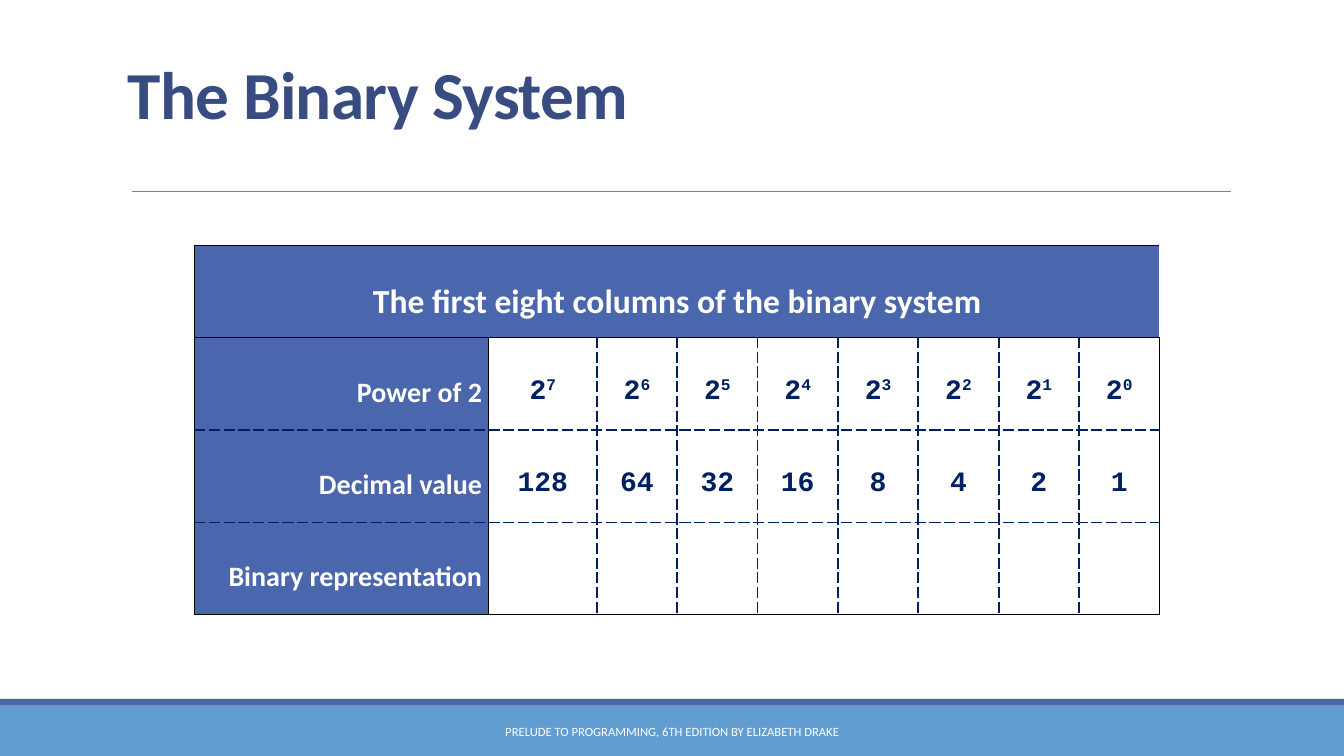
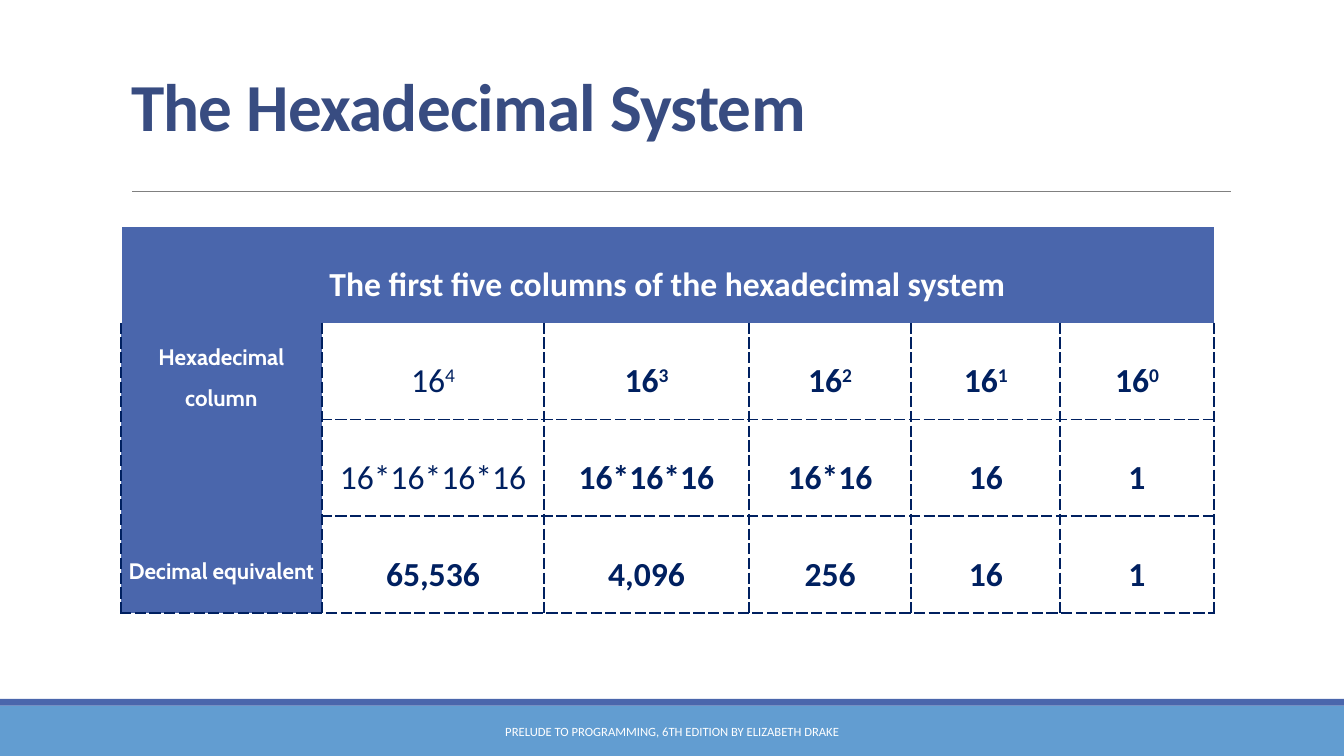
import pptx
import pptx.util
import pptx.dml.color
import pptx.enum.shapes
import pptx.enum.text
import pptx.oxml.ns
import lxml.etree

RGBColor = pptx.dml.color.RGBColor
ALIGN = pptx.enum.text.PP_ALIGN
ANCHOR = pptx.enum.text.MSO_ANCHOR
qn = pptx.oxml.ns.qn

WHITE = RGBColor(0xFF, 0xFF, 0xFF)
BLACK = RGBColor(0x00, 0x00, 0x00)
NAVY = RGBColor(0x00, 0x20, 0x60)
INDIGO = RGBColor(0x4A, 0x66, 0xAC)
SKY = RGBColor(0x62, 0x9D, 0xD1)
TITLE_BLUE = RGBColor(0x38, 0x4C, 0x81)
GREY = RGBColor(0x80, 0x80, 0x80)

SOLID = (BLACK, 1, "solid")
DASHED = (NAVY, 1.5, "sysDash")
PALE = (WHITE, 1, "solid")

COLUMNS, ROWS = 160, 90
FOOTER = "PRELUDE TO PROGRAMMING, 6TH EDITION BY ELIZABETH DRAKE"


def write(frame, text, font="Calibri", size=24, color=WHITE, bold=False,
          align=ALIGN.CENTER, spacing=1.0, tracking=0):
    paragraph = frame.paragraphs[0]
    paragraph.alignment = align
    paragraph.line_spacing = spacing
    for position, part in enumerate(text.split("^")):
        run = paragraph.add_run()
        run.text = part
        run.font.name = font
        run.font.size = pptx.util.Pt(size)
        run.font.bold = bold
        run.font.color.rgb = color
        properties = run.font._element
        if position:
            properties.set("baseline", "30000")
        if tracking:
            properties.set("spc", str(int(tracking * 100)))


def set_borders(cell, **edges):
    properties = cell._tc.get_or_add_tcPr()
    for side in "LRTB":
        edge = lxml.etree.SubElement(properties, qn("a:ln" + side))
        if edges[side] is None:
            edge.set("w", "0")
            lxml.etree.SubElement(edge, qn("a:noFill"))
            continue
        color, width, dash = edges[side]
        edge.set("w", str(pptx.util.Pt(width)))
        fill = lxml.etree.SubElement(edge, qn("a:solidFill"))
        lxml.etree.SubElement(fill, qn("a:srgbClr")).set("val", str(color))
        lxml.etree.SubElement(edge, qn("a:prstDash")).set("val", dash)


class Deck:
    def __init__(self):
        self.presentation = pptx.Presentation()
        self.presentation.slide_width = pptx.util.Inches(13.33)
        self.presentation.slide_height = pptx.util.Inches(7.5)
        self.slide = None

    def x(self, columns):
        return int(self.presentation.slide_width * columns / COLUMNS)

    def y(self, rows):
        return int(self.presentation.slide_height * rows / ROWS)

    def box(self, left, top, width, height):
        return self.x(left), self.y(top), self.x(width), self.y(height)

    def start(self, title, *place):
        layout = self.presentation.slide_layouts[5]
        self.slide = self.presentation.slides.add_slide(layout)
        self.band(0, 84, COLUMNS, 6, SKY)
        self.band(0, 83.2, COLUMNS, 0.8, INDIGO)
        self.rule(15.75, 146.5, 22.8)
        self.title(title, *place)
        self.footer()

    def band(self, left, top, width, height, color):
        band = self.slide.shapes.add_shape(
            pptx.enum.shapes.MSO_SHAPE.RECTANGLE, *self.box(left, top, width, height))
        band.shadow.inherit = False
        band.fill.solid()
        band.fill.fore_color.rgb = color
        band.line.fill.background()

    def rule(self, start, end, row):
        rule = self.slide.shapes.add_connector(
            pptx.enum.shapes.MSO_CONNECTOR.STRAIGHT,
            self.x(start), self.y(row), self.x(end), self.y(row))
        rule.line.color.rgb = GREY
        rule.line.width = pptx.util.Pt(0.5)
        lxml.etree.SubElement(rule._element.spPr, qn("a:effectLst"))

    def title(self, text, *place):
        heading = self.slide.shapes.title
        heading.left, heading.top, heading.width, heading.height = self.box(*place)
        frame = heading.text_frame
        frame.auto_size = pptx.enum.text.MSO_AUTO_SIZE.NONE
        frame.word_wrap = True
        frame.vertical_anchor = ANCHOR.BOTTOM
        write(frame, text, size=48, color=TITLE_BLUE, bold=True,
              align=ALIGN.LEFT, spacing=0.85, tracking=-0.5)

    def footer(self):
        frame = self.slide.shapes.add_textbox(*self.box(48.4, 84.7, 63.2, 4.8)).text_frame
        frame.word_wrap = True
        frame.vertical_anchor = ANCHOR.MIDDLE
        write(frame, FOOTER, size=9)

    def table(self, left, top, widths, row_height, content, across, down, style):
        grid = self.slide.shapes.add_table(
            len(content), len(widths),
            *self.box(left, top, sum(widths), row_height * len(content))).table
        grid.first_row = grid.horz_banding = False
        for column, width in zip(grid.columns, widths):
            column.width = self.x(width)
        for row in grid.rows:
            row.height = self.y(row_height)
        for r, texts in enumerate(content):
            for c in range(len(widths)):
                cell = grid.cell(r, c)
                set_borders(cell, L=down(c, r), R=down(c + 1, r),
                            T=across(r, c), B=across(r + 1, c))
                self.fill_cell(cell, texts[c] if c < len(texts) else "", r, c, style)
        grid.cell(0, 0).merge(grid.cell(0, len(widths) - 1))

    def fill_cell(self, cell, text, row, column, style):
        cell.vertical_anchor = ANCHOR.MIDDLE
        cell.margin_left = cell.margin_right = self.x(0.8)
        cell.margin_top = cell.margin_bottom = 0
        if row == 0 or column == 0:
            cell.fill.solid()
            cell.fill.fore_color.rgb = INDIGO
        else:
            cell.fill.background()
        if text:
            write(cell.text_frame, text, spacing=1.5, **style(row, column))


def binary_slide(deck):
    powers = range(7, -1, -1)
    content = [
        ["The first eight columns of the binary system"],
        ["Power of 2"] + [f"2^{power}" for power in powers],
        ["Decimal value"] + [str(2 ** power) for power in powers],
        ["Binary representation"],
    ]

    def across(line, column):
        return SOLID if line in (0, 1, 4) else DASHED

    def down(line, row):
        if row == 0 and 0 < line < 9:
            return None
        return SOLID if line in (0, 1, 9) else DASHED

    def style(row, column):
        if row == 0:
            return dict(bold=True)
        if column == 0:
            return dict(size=20, bold=True, align=ALIGN.RIGHT)
        return dict(font="Courier New", size=20, color=NAVY, bold=True)

    deck.start("The Binary System", 14, 5.2, 132, 11.3)
    deck.table(23.2, 29.2, [35, 12.85] + [9.57] * 7, 11, content, across, down, style)


def hexadecimal_slide(deck):
    powers = range(4, -1, -1)
    content = [
        ["The first five columns of the hexadecimal system"],
        ["Hexadecimal column"] + [f"16^{power}" for power in powers],
        [""] + ["*".join(["16"] * power) or "1" for power in powers],
        ["Decimal equivalent"] + [f"{16 ** power:,}" for power in powers],
    ]

    def across(line, column):
        if line == 0:
            return PALE
        return None if line == 1 or (column == 0 and line < 4) else DASHED

    def down(line, row):
        if row == 0:
            return PALE if line in (0, 6) else None
        return DASHED

    def style(row, column):
        if row == 0:
            return dict(bold=True)
        if column == 0:
            return dict(font="Cabin", size=16, bold=True)
        return dict(color=NAVY, bold=column > 1 or row == 3)

    deck.start("The Hexadecimal System", 14.4, 3.7, 132, 14.2)
    deck.table(14.4, 26.9, [23.9, 26.5, 24.35, 19.35, 17.75, 18.25], 11.52,
               content, across, down, style)


def main():
    deck = Deck()
    binary_slide(deck)
    hexadecimal_slide(deck)
    deck.presentation.save("out.pptx")


if __name__ == "__main__":
    main()
